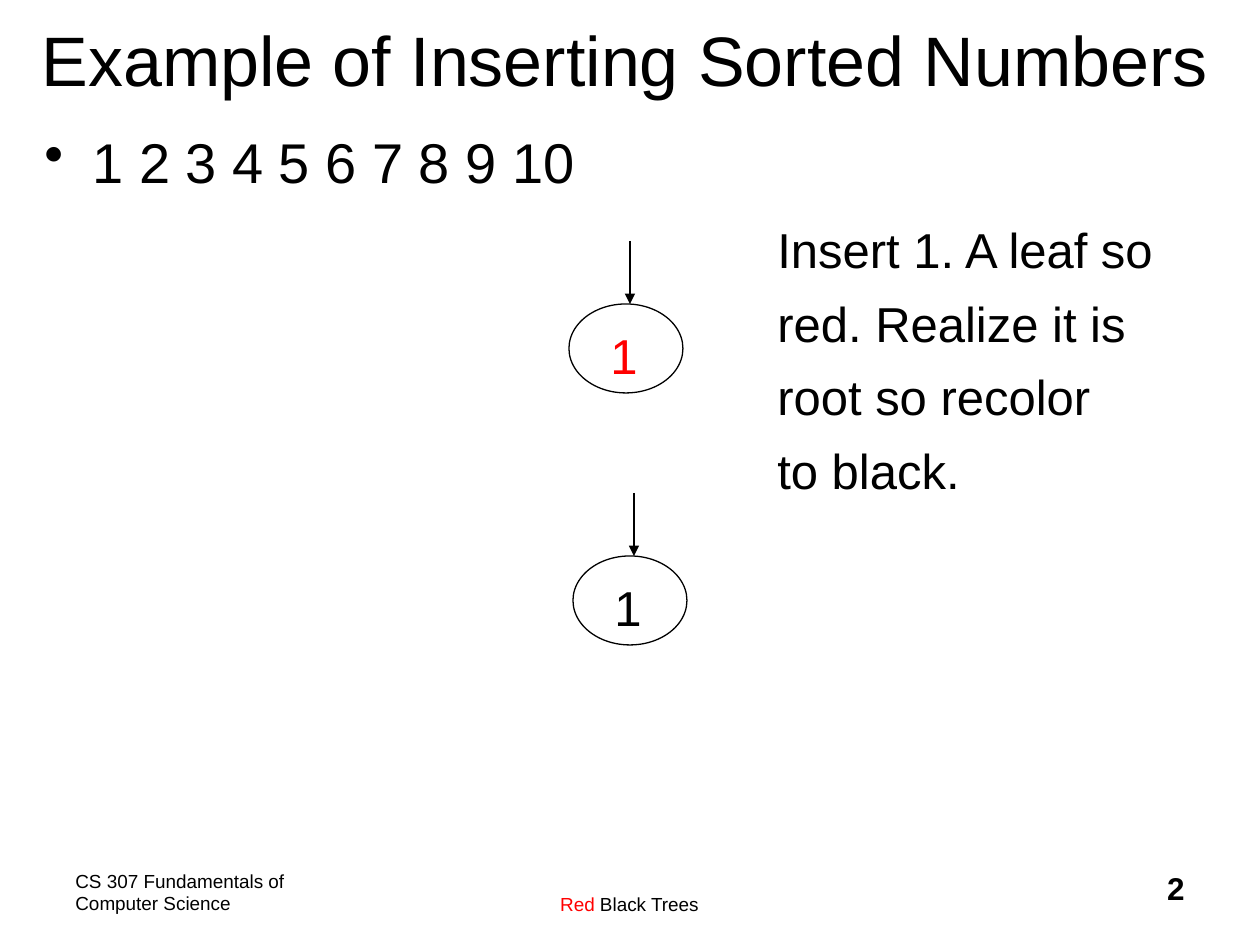
import pptx
import pptx.dml.color
import pptx.enum.shapes
import pptx.enum.text
import pptx.oxml
import pptx.oxml.ns
import pptx.util

PX = 914400 // 126
BLACK, RED = "000000", "FF0000"
ALIGN = pptx.enum.text.PP_ALIGN


def px(n):
    return pptx.util.Emu(n * PX)


def color(value):
    return pptx.dml.color.RGBColor.from_string(value)


def add_xml(parent, xml):
    ns = pptx.oxml.ns.nsdecls("a")
    parent.append(pptx.oxml.parse_xml(xml.replace("/>", f" {ns}/>", 1)))


class Deck:
    """Holds the presentation, the current slide and the shared style."""

    font = "Arial"
    line_width = pptx.util.Pt(0.75)
    paragraph_gap = pptx.util.Pt(8.6)

    def __init__(self, width, height):
        self.prs = pptx.Presentation()
        self.prs.slide_width, self.prs.slide_height = px(width), px(height)
        self.slide = self.prs.slides.add_slide(self.prs.slide_layouts[6])

    def text(self, box, paragraphs, size, align=ALIGN.LEFT, bold=False,
             wrap=True, middle=False, bullet=False):
        sp = self.slide.shapes.add_textbox(*map(px, box))
        tf = sp.text_frame
        tf.word_wrap = wrap
        if middle:
            tf.vertical_anchor = pptx.enum.text.MSO_ANCHOR.MIDDLE
        for i, runs in enumerate(paragraphs):
            p = tf.add_paragraph() if i else tf.paragraphs[0]
            p.alignment = align
            if i:
                p.space_before = self.paragraph_gap
            if bullet:
                pPr = p._p.get_or_add_pPr()
                pPr.set("marL", str(px(48)))
                pPr.set("indent", str(px(-48)))
                add_xml(pPr, '<a:buChar char="•"/>')
            for words, value in runs:
                r = p.add_run()
                r.text = words
                r.font.name, r.font.size = self.font, pptx.util.Pt(size)
                r.font.bold = bold
                r.font.color.rgb = color(value)

    def ellipse(self, box):
        sp = self.slide.shapes.add_shape(
            pptx.enum.shapes.MSO_SHAPE.OVAL, *map(px, box))
        sp.shadow.inherit = False
        sp.fill.background()
        sp.line.color.rgb = color(BLACK)
        sp.line.width = self.line_width

    def arrow(self, x1, y1, x2, y2):
        cx = self.slide.shapes.add_connector(
            pptx.enum.shapes.MSO_CONNECTOR.STRAIGHT, *map(px, (x1, y1, x2, y2)))
        cx.line.color.rgb = color(BLACK)
        cx.line.width = self.line_width
        add_xml(cx.line._get_or_add_ln(), '<a:tailEnd type="triangle"/>')
        add_xml(cx._element.spPr, "<a:effectLst/>")

    def node(self, x, y, label, value):
        self.ellipse((x, y, 114, 89))
        self.text((x + 29, y + 15, 52, 72), [[(label, value)]], 28, wrap=False)
        self.arrow(x + 61, y - 63, x + 61, y)


def main():
    deck = Deck(1260, 945)
    deck.text((63, 863, 315, 63),
              [[("CS 307 Fundamentals of Computer Science", BLACK)]], 10.8)
    deck.text((388, 886, 483, 38),
              [[("Red", RED), (" Black Trees", BLACK)]], 10.8, ALIGN.CENTER)
    deck.text((935, 863, 262, 63), [[("2", BLACK)]], 18, ALIGN.RIGHT, bold=True)
    deck.text((21, -21, 1207, 158),
              [[("Example of Inserting Sorted Numbers", BLACK)]],
              40, ALIGN.CENTER, middle=True)
    deck.text((32, 121, 1197, 751), [[("1 2 3 4 5 6 7 8 9 10", BLACK)]],
              32, bullet=True)
    steps = ("Insert 1. A leaf so", "red. Realize it is",
             "root so recolor", "to black.")
    deck.text((765, 213, 420, 285), [[(step, BLACK)] for step in steps], 28)
    for i, value in enumerate((RED, BLACK)):
        deck.node(569 + 4 * i, 304 + 252 * i, "1", value)
    deck.prs.save("out.pptx")


if __name__ == "__main__":
    main()
